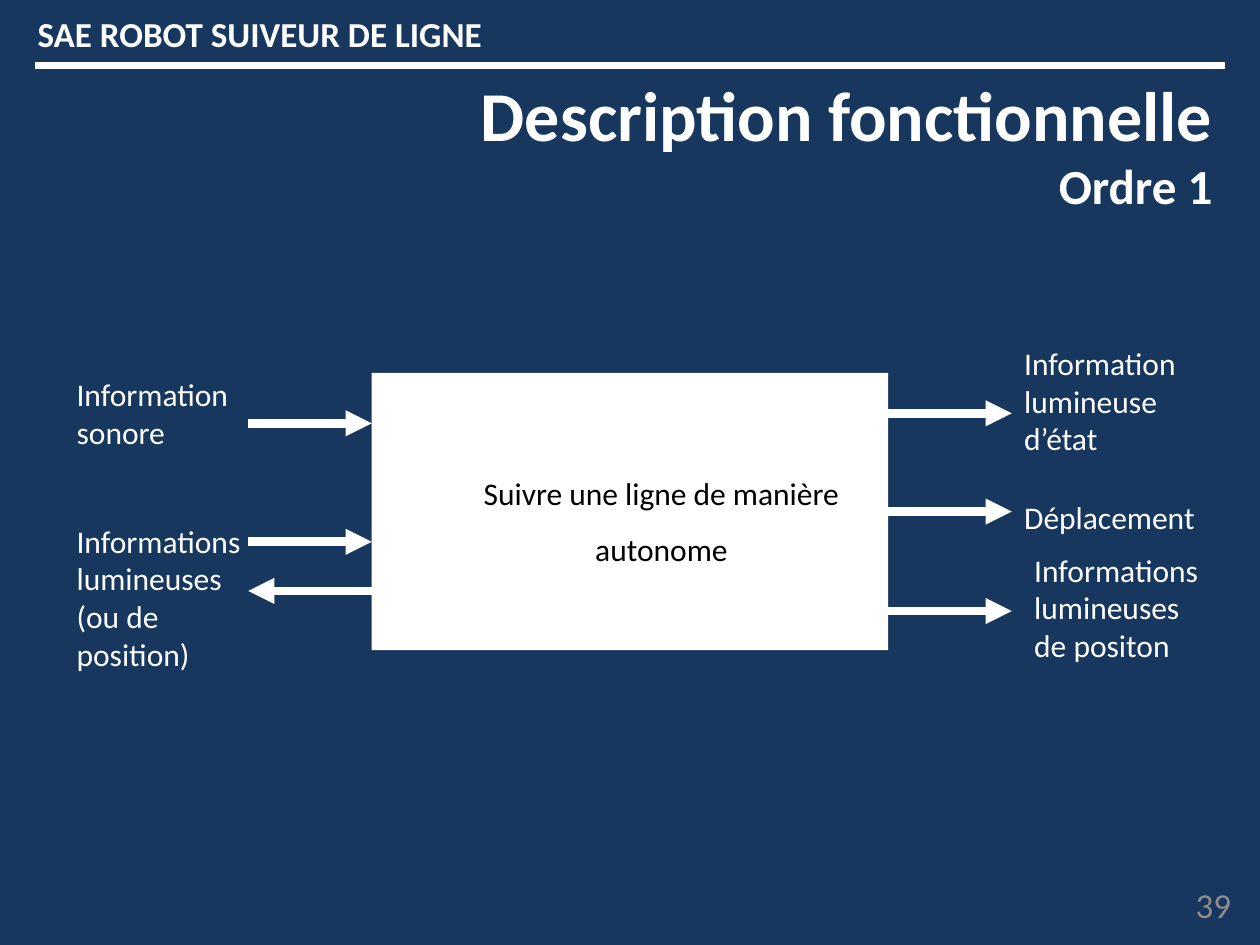
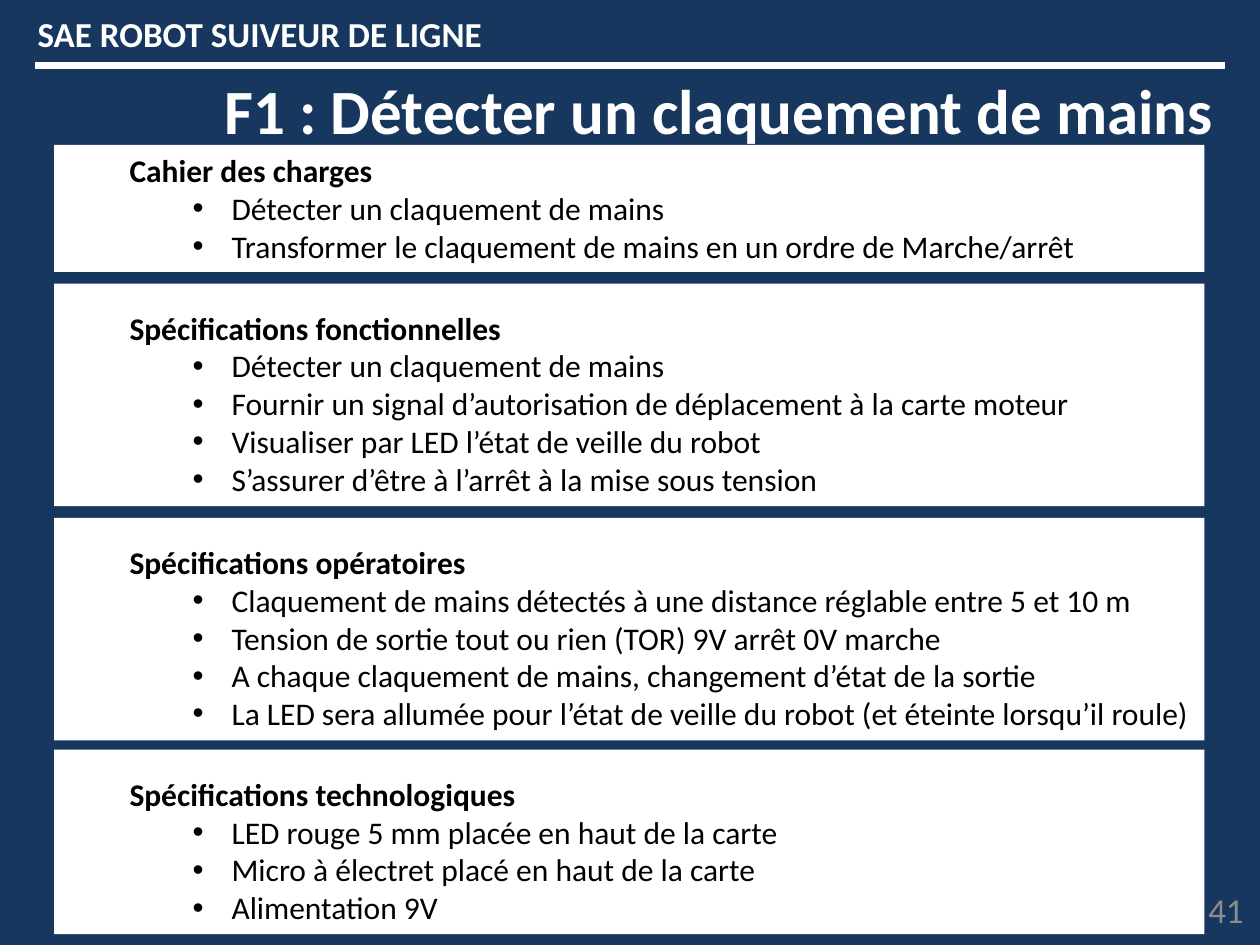
from dataclasses import dataclass

from lxml import etree
from pptx import Presentation
from pptx.dml.color import RGBColor
from pptx.enum.shapes import MSO_CONNECTOR, MSO_SHAPE
from pptx.enum.text import MSO_ANCHOR, MSO_AUTO_SIZE, PP_ALIGN
from pptx.oxml.ns import qn
from pptx.util import Inches, Pt

RECT = MSO_SHAPE.RECTANGLE
LINE = MSO_CONNECTOR.STRAIGHT
LEFT, MID, RIGHT = PP_ALIGN.LEFT, PP_ALIGN.CENTER, PP_ALIGN.RIGHT
TOP, CENTRE = MSO_ANCHOR.TOP, MSO_ANCHOR.MIDDLE
GROW = MSO_AUTO_SIZE.SHAPE_TO_FIT_TEXT

COLORS = {"navy": "17375E", "white": "FFFFFF", "black": "000000", "grey": "8C8C8C"}
FONT = "Calibri"
WIDTH, HEIGHT = Inches(10), Inches(7.5)
COLS, ROWS = 100, 75
BODY = 18
RIGHT_SIDE = 3


@dataclass
class Area:
    col: float
    row: float
    wide: float
    high: float


@dataclass
class Line:
    text: str
    size: float = BODY
    bold: bool = False
    color: str = "white"
    align: PP_ALIGN = LEFT
    space: float = 1.0
    left: float = 0
    hang: float = 0
    mark: str = ""


@dataclass
class Label:
    text: str
    area: Area


@dataclass
class Arrow:
    start: float
    end: float
    row: float
    joined: bool = False


@dataclass
class Panel:
    head: str
    items: list[str]
    row: float
    space: float = 1.5


BLOCK = Area(29.5, 29.6, 41, 22)
IN_COL, OUT_COL = 19.7, 80.3
EDGE = BLOCK.col + BLOCK.wide

LABELS = [
    Label("Information sonore", Area(5.1, 29.3, 14.6, 7.1)),
    Label("Informations lumineuses (ou de position)", Area(5.1, 40.9, 15.7, 13.1)),
    Label("Information lumineuse d’état", Area(OUT_COL, 26.8, 16.5, 10.1)),
    Label("Déplacement", Area(OUT_COL, 39, 16.5, 4)),
    Label("Informations lumineuses de positon", Area(81.1, 43.2, 16.5, 10.1)),
]

ARROWS = [
    Arrow(IN_COL, BLOCK.col, 33.6),
    Arrow(IN_COL, BLOCK.col, 43),
    Arrow(BLOCK.col, IN_COL, 46.9),
    Arrow(EDGE, OUT_COL, 32.8),
    Arrow(EDGE, OUT_COL, BLOCK.row + BLOCK.high / 2, joined=True),
    Arrow(EDGE, OUT_COL, 48.5),
]

PANELS = [
    Panel("Cahier des charges", [
        "Détecter un claquement de mains",
        "Transformer le claquement de mains en un ordre de Marche/arrêt",
    ], 11.5, 1.0),
    Panel("Spécifications fonctionnelles", [
        "Détecter un claquement de mains",
        "Fournir un signal d’autorisation de déplacement à la carte moteur",
        "Visualiser par LED l’état de veille du robot",
        "S’assurer d’être à l’arrêt à la mise sous tension",
    ], 22.5),
    Panel("Spécifications opératoires", [
        "Claquement de mains détectés à une distance réglable entre 5 et 10 m",
        "Tension de sortie tout ou rien (TOR) 9V arrêt 0V marche",
        "A chaque claquement de mains, changement d’état de la sortie",
        "La LED sera allumée pour l’état de veille du robot (et éteinte lorsqu’il roule)",
    ], 41.1),
    Panel("Spécifications technologiques", [
        "LED rouge 5 mm placée en haut de la carte",
        "Micro à électret placé en haut de la carte",
        "Alimentation 9V",
    ], 59.5),
]


def rgb(name: str) -> RGBColor:
    return RGBColor.from_string(COLORS[name])


def across(col: float) -> int:
    return round(WIDTH * col / COLS)


def down(row: float) -> int:
    return round(HEIGHT * row / ROWS)


def place(area: Area) -> tuple[int, int, int, int]:
    return across(area.col), down(area.row), across(area.wide), down(area.high)


def write(shape, lines: list[Line], wrap: bool = True, anchor=TOP, grow: bool = True) -> None:
    frame = shape.text_frame
    frame.word_wrap = wrap
    frame.vertical_anchor = anchor
    if grow:
        frame.auto_size = GROW
    for i, line in enumerate(lines):
        para = frame.paragraphs[0] if i == 0 else frame.add_paragraph()
        para.text = line.text
        para.alignment = line.align
        para.line_spacing = line.space
        props = para._p.get_or_add_pPr()
        props.set("marL", str(Inches(line.left)))
        props.set("indent", str(Inches(line.hang)))
        if line.mark:
            etree.SubElement(props, qn("a:buFont")).set("typeface", "Arial")
            etree.SubElement(props, qn("a:buChar")).set("char", line.mark)
        font = para.font
        font.name, font.size, font.bold = FONT, Pt(line.size), line.bold
        font.color.rgb = rgb(line.color)


def add_text(slide, area: Area, lines: list[Line], **style) -> None:
    write(slide.shapes.add_textbox(*place(area)), lines, **style)


def add_box(slide, area: Area):
    box = slide.shapes.add_shape(RECT, *place(area))
    box.shadow.inherit = False
    box.fill.solid()
    box.fill.fore_color.rgb = rgb("white")
    box.line.fill.background()
    return box


def add_line(slide, start: float, end: float, row: float, weight: float):
    line = slide.shapes.add_connector(LINE, across(start), down(row), across(end), down(row))
    line.line.color.rgb = rgb("white")
    line.line.width = Pt(weight)
    etree.SubElement(line._element.spPr, qn("a:effectLst"))
    return line


def add_arrow(slide, arrow: Arrow, block) -> None:
    line = add_line(slide, arrow.start, arrow.end, arrow.row, 5)
    stroke = line.line._get_or_add_ln()
    etree.SubElement(stroke, qn("a:tailEnd")).set("type", "triangle")
    if arrow.joined:
        line.begin_connect(block, RIGHT_SIDE)


def add_panel(slide, panel: Panel) -> None:
    high = 1 + 3.03 * (panel.space + len(panel.items))
    head = Line(panel.head, bold=True, color="black", space=panel.space, left=0.5)
    items = [Line(item, color="black", left=1.31, hang=-0.31, mark="•")
             for item in panel.items]
    write(add_box(slide, Area(4.3, panel.row, 91.3, high)), [head, *items])


def add_page(slide, number: int, col: float, row: float) -> None:
    add_text(slide, Area(col, row, 23.3, 4),
             [Line(str(number), 20, color="grey", align=RIGHT)], anchor=CENTRE, grow=False)


def add_slide(deck, area: Area, title: list[Line]):
    slide = deck.slides.add_slide(deck.slide_layouts[6])
    slide.background.fill.solid()
    slide.background.fill.fore_color.rgb = rgb("navy")
    add_text(slide, area, title, wrap=False)
    add_line(slide, 2.8, 97.2, 5.2, 4)
    add_text(slide, Area(2, 0.5, 37.6, 4.4),
             [Line("SAE ROBOT SUIVEUR DE LIGNE", 20, True)], wrap=False)
    return slide


def draw_order(deck) -> None:
    slide = add_slide(deck, Area(36.4, 5.2, 60.8, 12.5), [
        Line("Description fonctionnelle", 40, True, align=RIGHT),
        Line("Ordre 1", 28, True, align=RIGHT),
    ])
    block = add_box(slide, BLOCK)
    task = Line("Suivre une ligne de manière autonome", color="black",
                align=MID, space=1.5, left=0.5)
    write(block, [task], anchor=CENTRE, grow=False)
    for arrow in ARROWS:
        add_arrow(slide, arrow, block)
    for label in LABELS:
        add_text(slide, label.area, [Line(label.text)])
    add_page(slide, 39, 75.4, 69.8)


def draw_specs(deck) -> None:
    slide = add_slide(deck, Area(15.9, 5.2, 81.4, 7.1), [
        Line("F1 : Détecter un claquement de mains", 36, True, align=RIGHT),
    ])
    for panel in PANELS:
        add_panel(slide, panel)
    add_page(slide, 41, 76.4, 70.2)


def main() -> None:
    deck = Presentation()
    deck.slide_width, deck.slide_height = WIDTH, HEIGHT
    draw_order(deck)
    draw_specs(deck)
    deck.save("out.pptx")


if __name__ == "__main__":
    main()
